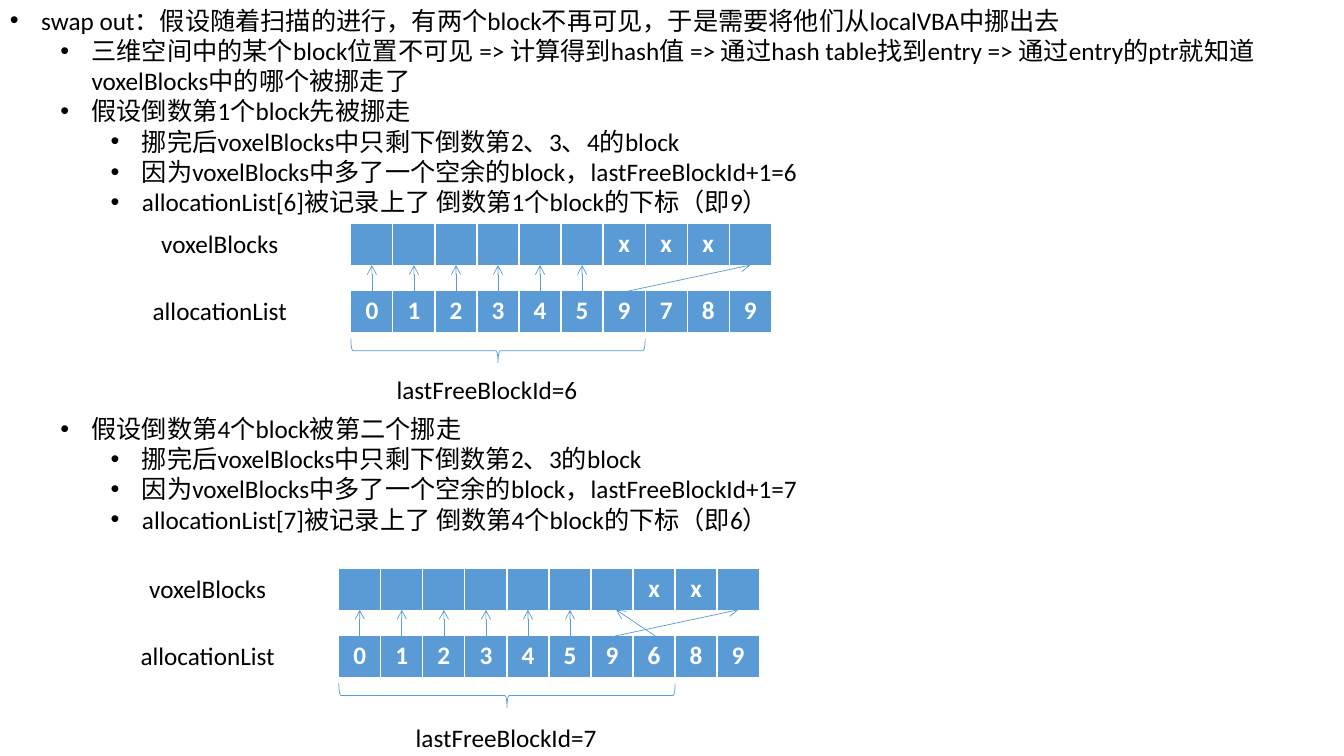
from lxml import etree
from pptx import Presentation, util as u
from pptx.dml.color import RGBColor
from pptx.enum import shapes, text
from pptx.oxml.ns import qn

BLUE = RGBColor(0x5B, 0x9B, 0xD5)
WHITE = RGBColor(255, 255, 255)
BLACK = RGBColor(0, 0, 0)

OUTLINES = [
    (0, 2.22, [
        (0, "swap out：假设随着扫描的进行，有两个block不再可见，于是需要将他们从localVBA中挪出去"),
        (1, "三维空间中的某个block位置不可见 => 计算得到hash值 => 通过hash table找到entry => "
            "通过entry的ptr就知道voxelBlocks中的哪个被挪走了"),
        (1, "假设倒数第1个block先被挪走"),
        (2, "挪完后voxelBlocks中只剩下倒数第2、3、4的block"),
        (2, "因为voxelBlocks中多了一个空余的block，lastFreeBlockId+1=6"),
        (2, "allocationList[6]被记录上了 倒数第1个block的下标（即9）"),
    ]),
    (4.05, 1.61, [
        (1, "假设倒数第4个block被第二个挪走"),
        (2, "挪完后voxelBlocks中只剩下倒数第2、3的block"),
        (2, "因为voxelBlocks中多了一个空余的block，lastFreeBlockId+1=7"),
        (2, "allocationList[7]被记录上了 倒数第4个block的下标（即6）"),
    ]),
]
STRAIGHT_LINKS = [(column + 0.5, column + 0.5) for column in range(6)]
DIAGRAMS = [
    dict(left=3.48, top=2.22, voxels=[""] * 6 + ["x"] * 3 + [""],
         allocations="0123459789", links=[(6.57, 9.5)], free=7,
         caption="lastFreeBlockId=6", caption_at=(3.38, 3.66)),
    dict(left=3.36, top=5.64, voxels=[""] * 7 + ["x"] * 2 + [""],
         allocations="0123459689", links=[(6.57, 9.5), (7.53, 6.6)], free=8,
         caption="lastFreeBlockId=7", caption_at=(3.57, 7.12)),
]
GRID_WIDTH, ROW_HEIGHT, ROW_STEP = 4.17, 0.42, 0.66
CELL = GRID_WIDTH / 10
BRACE_DEPTH, BRACE_DROP = 0.24, 1.14
BULLET_GAP, LEVEL_STEP = 0.31, 0.5

deck = Presentation()
deck.slide_width, deck.slide_height = u.Inches(13.33), u.Inches(7.5)
page = deck.slides.add_slide(deck.slide_layouts[6])


def inches(*lengths):
    return [u.Inches(length) for length in lengths]


def write(para, words, color=BLACK, bold=False, align=text.PP_ALIGN.CENTER):
    para.alignment = align
    para.font.size = u.Pt(18)
    span = para.add_run()
    span.text = words
    span.font.name, span.font.size = "Calibri", u.Pt(18)
    span.font.color.rgb, span.font.bold = color, bold


def add_box(left, top, width, height):
    frame = page.shapes.add_textbox(*inches(left, top, width, height)).text_frame
    frame.word_wrap = True
    return frame


def add_outline(top, height, items):
    frame = add_box(0, top, 13.34, height)
    for index, (level, words) in enumerate(items):
        para = frame.add_paragraph() if index else frame.paragraphs[0]
        write(para, words, align=text.PP_ALIGN.LEFT)
        para.level = level
        properties = para._p.get_or_add_pPr()
        properties.set("marL", str(u.Inches(BULLET_GAP + level * LEVEL_STEP)))
        properties.set("indent", str(-u.Inches(BULLET_GAP)))
        font = etree.Element(qn("a:buFont"), typeface="Arial")
        bullet = etree.Element(qn("a:buChar"), char="•")
        properties.insert(0, font)
        properties.insert(1, bullet)


def add_row(left, top, values):
    grid = page.shapes.add_table(1, len(values), *inches(left, top, GRID_WIDTH, ROW_HEIGHT)).table
    for cell, value in zip(grid.rows[0].cells, values):
        cell.fill.solid()
        cell.fill.fore_color.rgb = BLUE
        if value:
            write(cell.text_frame.paragraphs[0], value, color=WHITE, bold=True)


def add_arrow(start_x, start_y, end_x, end_y):
    arrow = page.shapes.add_connector(shapes.MSO_CONNECTOR.STRAIGHT,
                                      *inches(start_x, start_y, end_x, end_y))
    arrow.line.color.rgb, arrow.line.width = BLUE, u.Pt(0.5)
    etree.SubElement(arrow.line._get_or_add_ln(), qn("a:tailEnd"), type="arrow")
    etree.SubElement(arrow._element.spPr, qn("a:effectLst"))


def add_brace(left, top, length):
    brace = page.shapes.add_shape(
        shapes.MSO_SHAPE.RIGHT_BRACE,
        *inches(left + (length - BRACE_DEPTH) / 2, top + (BRACE_DEPTH - length) / 2,
                BRACE_DEPTH, length))
    brace.rotation = 90
    brace.shadow.inherit = False
    brace.fill.background()
    brace.line.color.rgb, brace.line.width = BLUE, u.Pt(0.5)


def add_diagram(left, top, voxels, allocations, links, free, caption, caption_at):
    rows = [("voxelBlocks", voxels), ("allocationList", allocations)]
    for index, (label, values) in enumerate(rows):
        row_top = top + index * ROW_STEP
        add_row(left, row_top, values)
        write(add_box(left - 2.23, row_top, 1.86, 0.4).paragraphs[0], label)
    add_brace(left, top + BRACE_DROP, free * CELL)
    write(add_box(*caption_at, 2.9, 0.4).paragraphs[0], caption)
    for start, end in STRAIGHT_LINKS + links:
        add_arrow(left + start * CELL, top + 0.67, left + end * CELL, top + 0.41)


for outline in OUTLINES:
    add_outline(*outline)
for diagram in DIAGRAMS:
    add_diagram(**diagram)

deck.save("out.pptx")
